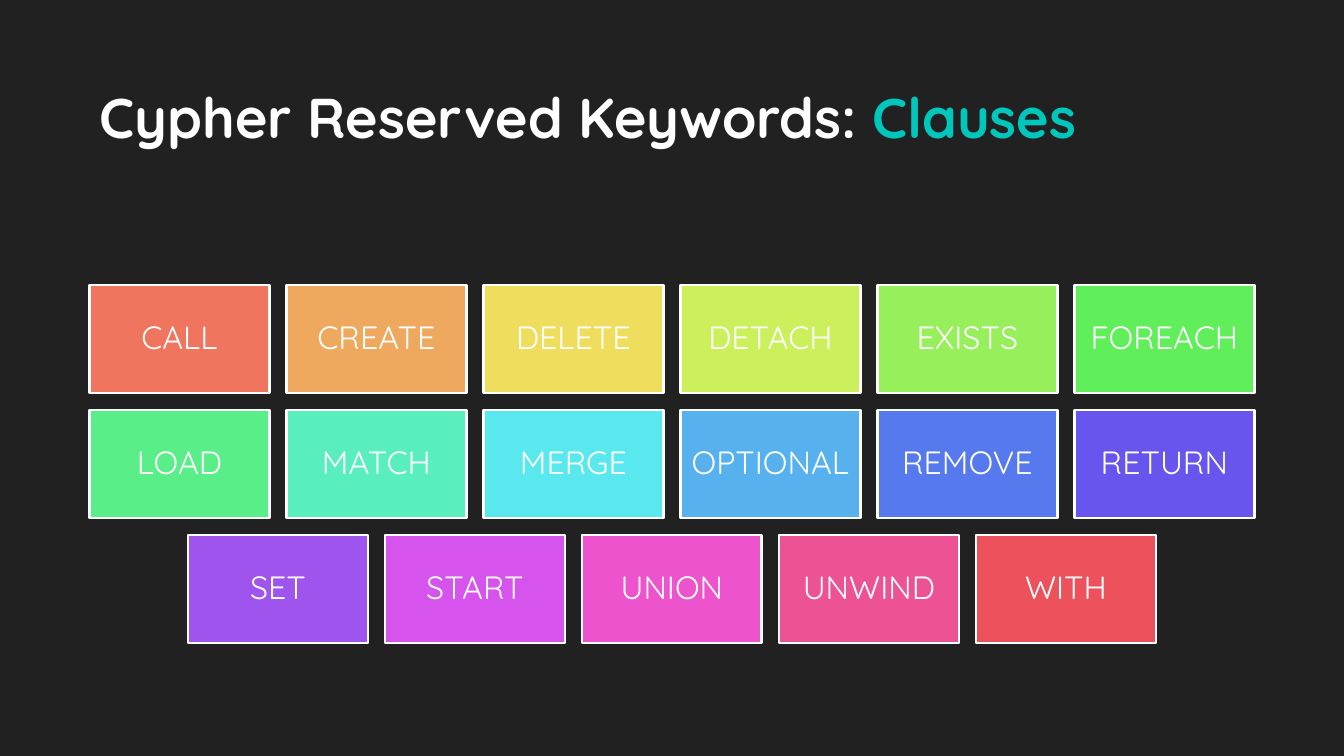
from dataclasses import dataclass

from lxml.etree import SubElement
from pptx import Presentation
from pptx.dml.color import RGBColor
from pptx.enum.shapes import MSO_SHAPE as Shape
from pptx.enum.text import MSO_ANCHOR as Anchor, PP_ALIGN as Align
from pptx.oxml.ns import qn
from pptx.util import Emu, Pt

EMU_PER_PX = 914400 / 100.8
SLIDE_W, SLIDE_H = 1344, 756
TILE_W, TILE_H, GAP = 180, 108, 17
TILES_TOP = 285


@dataclass(frozen=True)
class Theme:
    font: str = "Quicksand"
    background: str = "212121"
    heading: str = "FEFEFE"
    accent: str = "00C6BB"
    tile_ink: str = "FFFFFF"
    shadow: str = "000000"
    heading_size: int = 40
    tile_size: int = 23
    border: int = 2


THEME = Theme()

# Each row holds clauses with their tile colours
CLAUSE_ROWS = [
    [("CALL", "EF755F"), ("CREATE", "EFA95E"), ("DELETE", "EFDD5D"),
     ("DETACH", "CCEF5C"), ("EXISTS", "97EF5B"), ("FOREACH", "61EE5B")],
    [("LOAD", "5AEE89"), ("MATCH", "59EEBE"), ("MERGE", "58E8EE"),
     ("OPTIONAL", "57B1EE"), ("REMOVE", "567AEE"), ("RETURN", "6855EE")],
    [("SET", "9F54EE"), ("START", "D654ED"), ("UNION", "ED53CD"),
     ("UNWIND", "ED5295"), ("WITH", "ED515C")],
]


def px(length):
    return Emu(round(length * EMU_PER_PX))


def rgb(value):
    return RGBColor.from_string(value)


def add_text(paragraph, text, *, size, color, bold=False, shadow=False):
    run = paragraph.add_run()
    run.text = text
    font = run.font
    font.size, font.bold = Pt(size), bold
    font.color.rgb = rgb(color)
    if shadow:
        add_text_shadow(run)
    font.name = THEME.font


def add_text_shadow(run):
    effects = SubElement(run.font._element, qn("a:effectLst"))
    outer = SubElement(effects, qn("a:outerShdw"), blurRad="38100",
                       dist="38100", dir="2700000", algn="tl")
    color = SubElement(outer, qn("a:srgbClr"), val=THEME.shadow)
    SubElement(color, qn("a:alpha"), val="43000")


def add_heading(slide, parts, left, top, width, height):
    frame = slide.shapes.add_textbox(*map(px, (left, top, width, height))).text_frame
    frame.word_wrap = True
    frame.vertical_anchor = Anchor.BOTTOM
    line = frame.paragraphs[0]
    line.line_spacing = 0.9
    for text, color in parts:
        add_text(line, text, size=THEME.heading_size, color=color,
                 bold=True, shadow=True)


def add_tile(slide, clause, color, left, top):
    tile = slide.shapes.add_shape(Shape.RECTANGLE, px(left), px(top), px(TILE_W), px(TILE_H))
    tile.shadow.inherit = False
    tile.fill.solid()
    tile.fill.fore_color.rgb = rgb(color)
    tile.line.color.rgb = rgb(THEME.tile_ink)
    tile.line.width = Pt(THEME.border)
    frame = tile.text_frame
    frame.word_wrap = True
    frame.vertical_anchor = Anchor.MIDDLE
    frame.margin_left = frame.margin_right = px(9)
    label = frame.paragraphs[0]
    label.alignment = Align.CENTER
    label.line_spacing = 0.9
    add_text(label, clause, size=THEME.tile_size, color=THEME.tile_ink)


def add_tile_row(slide, clauses, top):
    step = TILE_W + GAP
    left = (SLIDE_W - len(clauses) * step + GAP) / 2
    for column, (clause, color) in enumerate(clauses):
        add_tile(slide, clause, color, left + column * step, top)


def main():
    deck = Presentation()
    deck.slide_width, deck.slide_height = px(SLIDE_W), px(SLIDE_H)
    slide = deck.slides.add_slide(deck.slide_layouts[6])
    slide.background.fill.solid()
    slide.background.fill.fore_color.rgb = rgb(THEME.background)

    # Heading
    add_heading(slide, [("Cypher Reserved Keywords: ", THEME.heading),
                        ("Clauses", THEME.accent)], 90, 49, 1165, 107)

    # Clause tiles, every row centred on the slide
    for row, clauses in enumerate(CLAUSE_ROWS):
        add_tile_row(slide, clauses, TILES_TOP + row * (TILE_H + GAP))

    deck.save("out.pptx")


if __name__ == "__main__":
    main()
